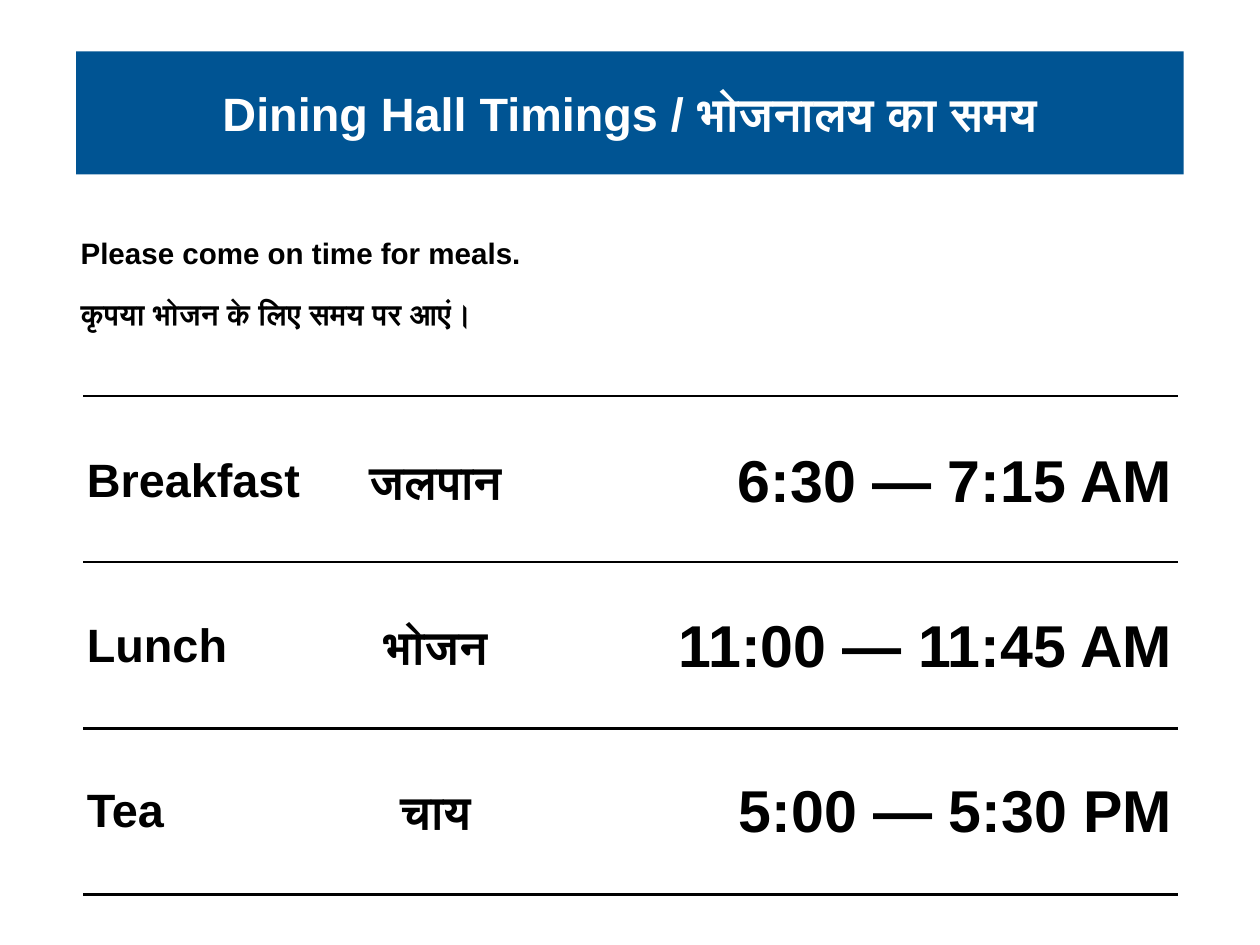
"""Build the bilingual dining hall timings slide."""
from dataclasses import dataclass

from lxml.etree import SubElement
from pptx import Presentation
from pptx.dml.color import RGBColor
from pptx.enum.shapes import MSO_CONNECTOR
from pptx.enum.text import MSO_ANCHOR, MSO_AUTO_SIZE, PP_ALIGN
from pptx.oxml.ns import qn
from pptx.util import Inches, Pt


@dataclass(frozen=True)
class Theme:
    font: str = "Arial"
    banner: RGBColor = RGBColor(0x00, 0x54, 0x93)
    light: RGBColor = RGBColor(0xFF, 0xFF, 0xFF)
    dark: RGBColor = RGBColor(0x00, 0x00, 0x00)
    note_size: int = 24
    name_size: int = 38
    time_size: int = 48
    rule_width: int = 2


theme = Theme()


def write_text(shape, text, *, size, color=theme.dark, align=PP_ALIGN.LEFT, wrap=True):
    frame = shape.text_frame
    frame.text = text
    frame.word_wrap = wrap
    frame.auto_size = MSO_AUTO_SIZE.NONE
    frame.vertical_anchor = MSO_ANCHOR.MIDDLE
    frame.margin_left = frame.margin_right = Inches(0.06)
    frame.margin_top = frame.margin_bottom = Inches(0.06)
    paragraph = frame.paragraphs[0]
    paragraph.alignment = align
    font = paragraph.runs[0].font
    font.name = theme.font
    font.size = Pt(size)
    font.bold = True
    font.color.rgb = color


def add_label(slide, text, left, top, width, height, **text_format):
    label = slide.shapes.add_textbox(Inches(left), Inches(top), Inches(width), Inches(height))
    write_text(label, text, **text_format)


presentation = Presentation()
presentation.slide_width = Inches(14.22)
presentation.slide_height = Inches(10.67)
slide = presentation.slides.add_slide(presentation.slide_layouts.get_by_name("Title Only"))

title = slide.shapes.title
title.left, title.top = Inches(0.86), Inches(0.58)
title.width, title.height = Inches(12.5), Inches(1.39)
title.fill.solid()
title.fill.fore_color.rgb = theme.banner
write_text(title, "Dining Hall Timings / भोजनालय का समय",
           size=theme.name_size, color=theme.light, align=PP_ALIGN.CENTER)

add_label(slide, "Please come on time for meals.", 0.85, 2.6, 5.12, 0.5,
          size=theme.note_size, wrap=False)
add_label(slide, "कृपया भोजन के लिए समय पर आएं।", 0.85, 3.26, 4.72, 0.56,
          size=theme.note_size, wrap=False)

meals = [
    ("Breakfast", "जलपान", "6:30 — 7:15 AM"),
    ("Lunch", "भोजन", "11:00 — 11:45 AM"),
    ("Tea", "चाय", "5:00 — 5:30 PM"),
]
first_rule, last_rule = 4.47, 10.1
rule_gap = (last_rule - first_rule) / len(meals)
first_row, row_gap, row_height = 4.84, 1.86, 1.14

for index in range(len(meals) + 1):
    rule_top = Inches(first_rule + index * rule_gap)
    rule = slide.shapes.add_connector(
        MSO_CONNECTOR.STRAIGHT, Inches(0.94), rule_top, Inches(13.3), rule_top)
    rule.line.color.rgb = theme.dark
    rule.line.width = Pt(theme.rule_width)
    SubElement(rule._element.spPr, qn("a:effectLst"))

for index, (english, hindi, hours) in enumerate(meals):
    row_top = first_row + index * row_gap
    add_label(slide, english, 0.92, row_top, 3.5, row_height, size=theme.name_size)
    add_label(slide, hindi, 3.83, row_top + 0.02, 2.18, row_height,
              size=theme.name_size, align=PP_ALIGN.CENTER)
    add_label(slide, hours, 7.42, row_top, 5.87, row_height,
              size=theme.time_size, align=PP_ALIGN.RIGHT)

presentation.save("out.pptx")
